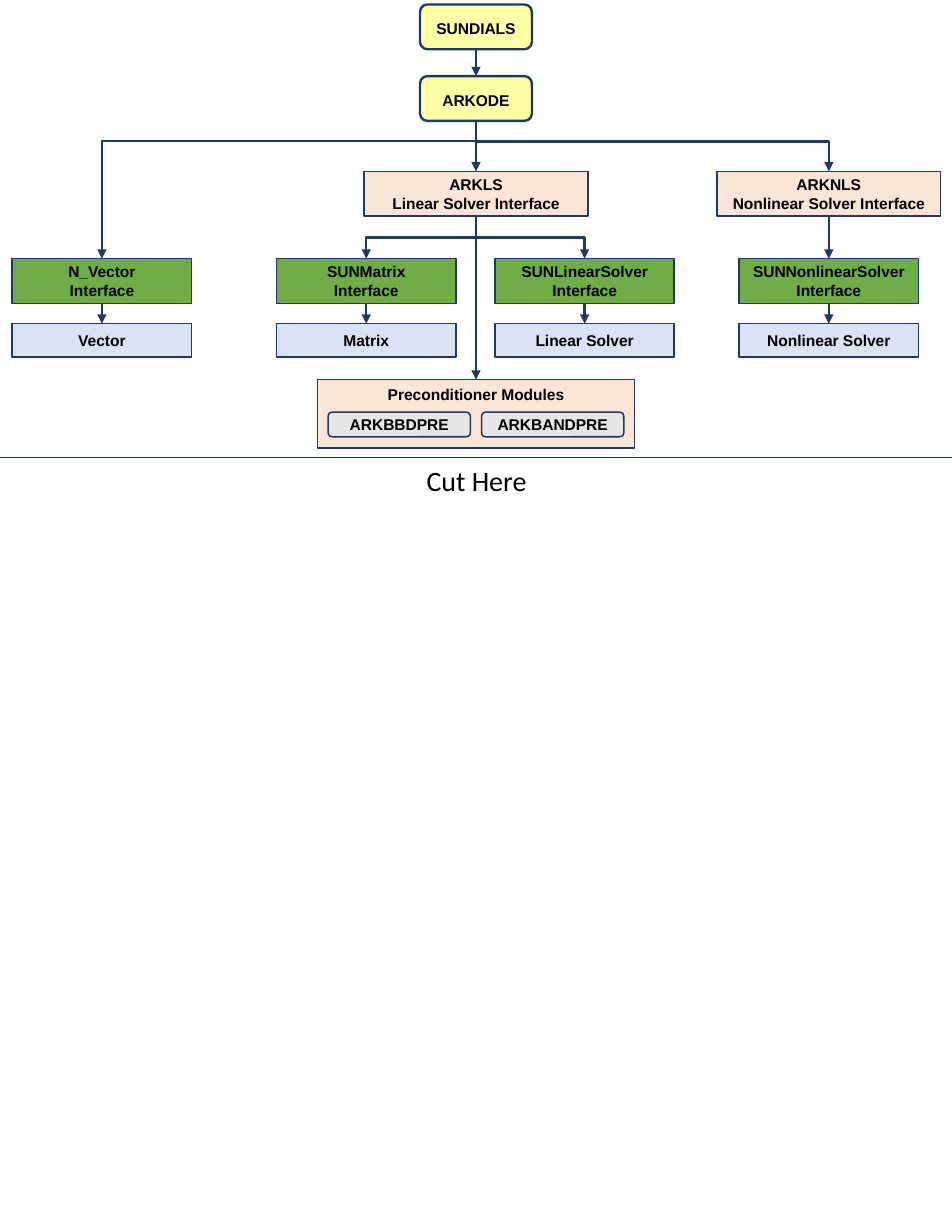
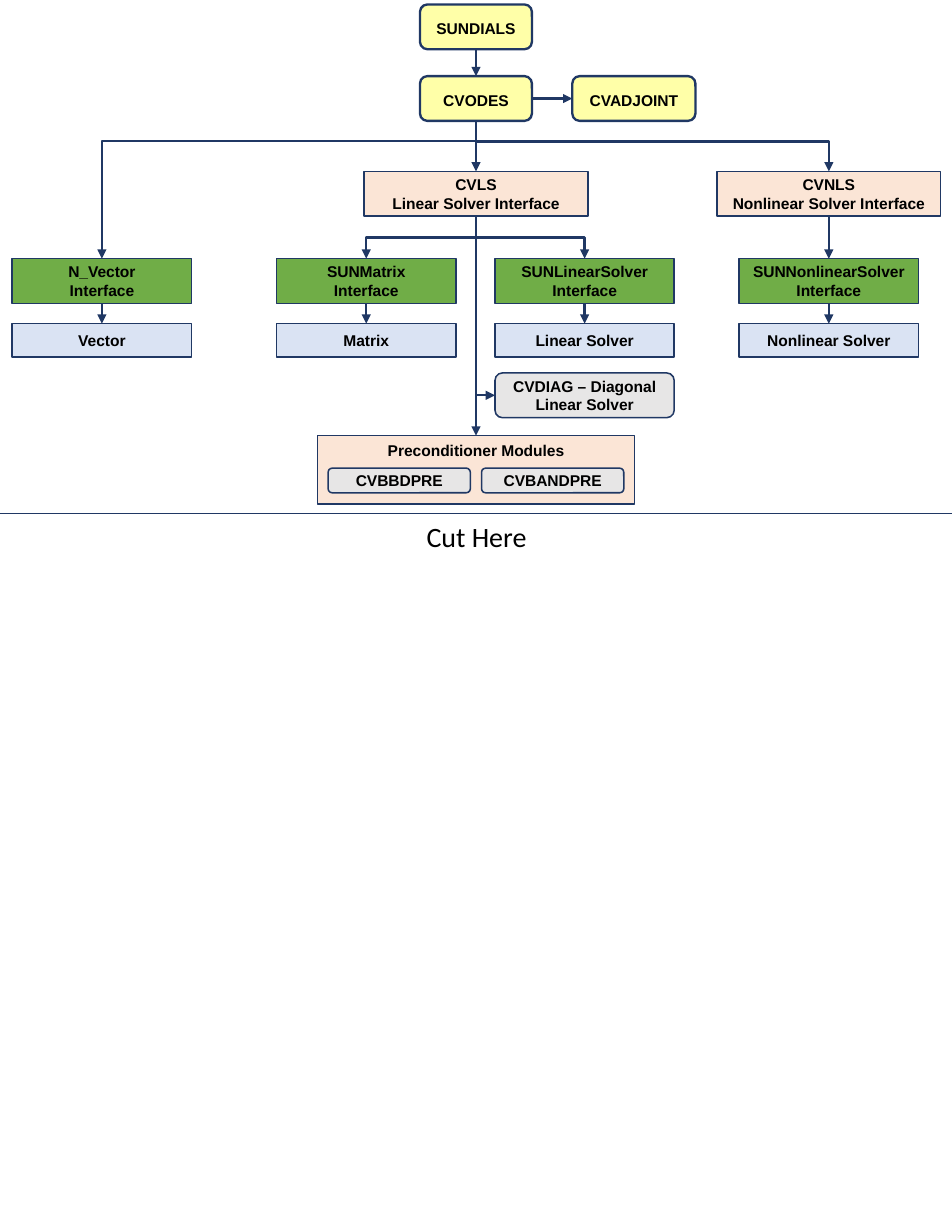
from dataclasses import dataclass

from lxml import etree
from pptx import Presentation
from pptx.dml.color import RGBColor
from pptx.enum.shapes import MSO_CONNECTOR, MSO_SHAPE
from pptx.enum.text import MSO_ANCHOR, MSO_AUTO_SIZE, PP_ALIGN
from pptx.oxml.ns import qn
from pptx.util import Inches, Pt

RECT, ROUND = MSO_SHAPE.RECTANGLE, MSO_SHAPE.ROUNDED_RECTANGLE
STRAIGHT, ELBOW = MSO_CONNECTOR.STRAIGHT, MSO_CONNECTOR.ELBOW
TOP, MIDDLE = MSO_ANCHOR.TOP, MSO_ANCHOR.MIDDLE
CENTER = PP_ALIGN.CENTER
GROW = MSO_AUTO_SIZE.SHAPE_TO_FIT_TEXT
SITE_TOP, SITE_LEFT, SITE_BOTTOM, SITE_RIGHT = range(4)


@dataclass(frozen=True)
class Theme:
    navy = RGBColor.from_string("203864")
    black = RGBColor.from_string("000000")
    yellow = RGBColor.from_string("FFFF00")
    peach = RGBColor.from_string("FBE5D6")
    green = RGBColor.from_string("70AD47")
    blue = RGBColor.from_string("DAE3F3")
    gray = RGBColor.from_string("E7E6E6")
    yellow_alpha = "34000"
    label_font = "Arial"
    cut_font = "Calibri"
    label_size = Pt(10)
    cut_size = Pt(18)
    thin, medium, thick = Pt(0.5), Pt(1), Pt(1.5)


T = Theme()
MID = 4.25
ROW_H = 0.4
PACKAGE_Y, LS_Y, INTERFACE_Y, MODULE_Y = 0.68, 1.53, 2.31, 2.89
NLS_X = 7.4
COLUMNS = [
    (0.91, "N_Vector", "Vector"),
    (3.27, "SUNMatrix", "Matrix"),
    (5.22, "SUNLinearSolver", "Linear Solver"),
    (NLS_X, "SUNNonlinearSolver", "Nonlinear Solver"),
]
DIAGRAMS = [
    {"package": "ARKODE", "prefix": "ARK", "pre_y": 3.39},
    {"package": "CVODES", "prefix": "CV", "pre_y": 3.89,
     "adjoint": "CVADJOINT", "diagonal": "CVDIAG \u2013 Diagonal Linear Solver"},
]


def box(shapes, kind, fill, cx, top, w, h, *lines):
    sp = shapes.add_shape(kind, Inches(cx - w / 2), Inches(top), Inches(w), Inches(h))
    sp.shadow.inherit = False
    sp.fill.solid()
    sp.fill.fore_color.rgb = fill
    sp.line.color.rgb = T.navy
    sp.line.width = T.thick if fill == T.yellow else T.medium
    if fill == T.yellow:
        clr = sp._element.spPr.find(qn("a:solidFill"))[0]
        etree.SubElement(clr, qn("a:alpha")).set("val", T.yellow_alpha)
    tf = sp.text_frame
    tf.word_wrap = True
    tf.vertical_anchor = MIDDLE
    for i, line in enumerate(lines):
        p = tf.paragraphs[0] if i == 0 else tf.add_paragraph()
        p.alignment = CENTER
        if fill == T.yellow:
            p.line_spacing = 1.2
        r = p.add_run()
        r.text = line
        r.font.name = T.label_font
        r.font.size = T.label_size
        r.font.bold = True
        r.font.color.rgb = T.black
    return sp


def arrow(shapes, src, dst, sites=(SITE_BOTTOM, SITE_TOP), bend=None):
    if bend is None:
        cn = shapes.add_connector(STRAIGHT, 0, 0, 0, 0)
        cn.begin_connect(src, sites[0])
        cn.end_connect(dst, sites[1])
    else:
        x1, y1 = src.left + src.width // 2, src.top + src.height
        to_side = sites[1] == SITE_LEFT
        x2 = dst.left + (0 if to_side else dst.width // 2)
        y2 = dst.top + (dst.height // 2 if to_side else 0)
        cx, cy = (x1 + x2) // 2, (y1 + y2) // 2
        half_w, half_h = (y2 - y1) // 2, abs(x2 - x1) // 2
        if x2 > x1:
            half_w = -half_w
        cn = shapes.add_connector(ELBOW, cx - half_w, cy - half_h, cx + half_w, cy + half_h)
        spPr = cn._element.spPr
        spPr.find(qn("a:xfrm")).set("rot", str((270 if x2 > x1 else 90) * 60000))
        geom = spPr.find(qn("a:prstGeom"))
        if to_side:
            geom.set("prst", "bentConnector2")
        else:
            gd = etree.SubElement(geom.find(qn("a:avLst")), qn("a:gd"))
            gd.set("name", "adj1")
            gd.set("fmla", f"val {round(bend * 100000)}")
    cn.line.color.rgb = T.navy
    cn.line.width = T.thick
    spPr = cn._element.spPr
    etree.SubElement(spPr.find(qn("a:ln")), qn("a:tailEnd")).set("type", "triangle")
    etree.SubElement(spPr, qn("a:effectLst"))


prs = Presentation()
prs.slide_width, prs.slide_height = Inches(8.5), Inches(11)

for d in DIAGRAMS:
    shapes = prs.slides.add_slide(prs.slide_layouts[6]).shapes
    prefix, pre_y = d["prefix"], d["pre_y"]

    suite = box(shapes, ROUND, T.yellow, MID, 0.04, 1, ROW_H, "SUNDIALS")
    package = box(shapes, ROUND, T.yellow, MID, PACKAGE_Y, 1, ROW_H, d["package"])
    ls = box(shapes, RECT, T.peach, MID, LS_Y, 2, ROW_H,
             prefix + "LS", "Linear Solver Interface")
    nls = box(shapes, RECT, T.peach, NLS_X, LS_Y, 2, ROW_H,
              prefix + "NLS", "Nonlinear Solver Interface")

    interfaces = []
    for x, name, module in COLUMNS:
        interface = box(shapes, RECT, T.green, x, INTERFACE_Y, 1.6, ROW_H, name, "Interface")
        implementation = box(shapes, RECT, T.blue, x, MODULE_Y, 1.6, 0.3, module)
        arrow(shapes, interface, implementation)
        interfaces.append(interface)
    vector, matrix, linear, nonlinear = interfaces

    group = shapes.add_group_shape().shapes
    pre = box(group, RECT, T.peach, MID, pre_y, 2.83, 0.61, "Preconditioner Modules")
    pre.text_frame.vertical_anchor = TOP
    for side, name in ((-1, "BBDPRE"), (1, "BANDPRE")):
        box(group, ROUND, T.gray, MID + side * 0.685, pre_y + 0.29, 1.27, 0.22, prefix + name)

    arrow(shapes, suite, package)
    arrow(shapes, package, ls)
    arrow(shapes, package, vector, bend=0.146)
    arrow(shapes, package, nls, bend=0.409)
    arrow(shapes, ls, matrix, bend=0.5)
    arrow(shapes, ls, linear, bend=0.5)
    arrow(shapes, nls, nonlinear)
    arrow(shapes, ls, pre)

    if "adjoint" in d:
        adjoint = box(shapes, ROUND, T.yellow, 5.66, PACKAGE_Y, 1.1, ROW_H, d["adjoint"])
        arrow(shapes, package, adjoint, (SITE_RIGHT, SITE_LEFT))
    if "diagonal" in d:
        diagonal = box(shapes, ROUND, T.gray, 5.22, 3.33, 1.6, ROW_H, d["diagonal"])
        arrow(shapes, ls, diagonal, (SITE_BOTTOM, SITE_LEFT), bend=1)

    cut_y = Inches(pre_y + 0.69)
    cut = shapes.add_connector(STRAIGHT, 0, cut_y, prs.slide_width, cut_y)
    cut.line.color.rgb = T.navy
    cut.line.width = T.thin
    etree.SubElement(cut._element.spPr, qn("a:effectLst"))

    tf = shapes.add_textbox(Inches(3.03), Inches(pre_y + 0.7), Inches(2.45), Inches(0.4)).text_frame
    tf.word_wrap = True
    tf.auto_size = GROW
    tf.vertical_anchor = MIDDLE
    p = tf.paragraphs[0]
    p.alignment = CENTER
    r = p.add_run()
    r.text = "Cut Here"
    r.font.name = T.cut_font
    r.font.size = T.cut_size
    r.font.color.rgb = T.black

prs.save("out.pptx")
